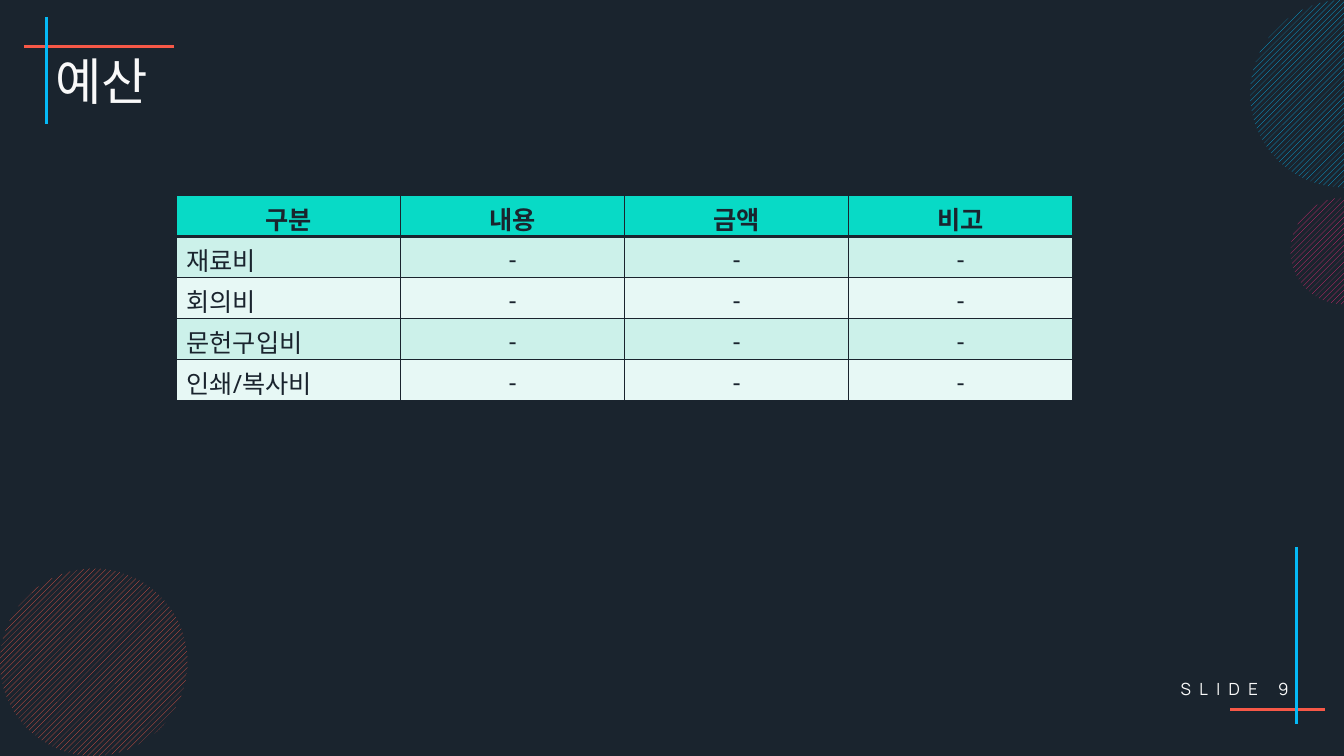
from pptx import Presentation
from pptx.dml.color import RGBColor
from pptx.enum.dml import MSO_PATTERN
from pptx.enum.shapes import MSO_CONNECTOR, MSO_SHAPE
from pptx.enum.text import MSO_ANCHOR, PP_ALIGN
from pptx.oxml.ns import qn
from pptx.util import Inches, Pt
from lxml.etree import SubElement

NAVY = RGBColor(0x1A, 0x24, 0x2E)
CORAL = RGBColor(0xF7, 0x58, 0x47)
BLUE = RGBColor(0x05, 0xB9, 0xF6)
PINK = RGBColor(0xEF, 0x2A, 0x79)
WHITE = RGBColor(0xF9, 0xF9, 0xF9)
TEAL = RGBColor(0x08, 0xDA, 0xC6)
MINT = RGBColor(0xCC, 0xF1, 0xEA)
PALE_MINT = RGBColor(0xE7, 0xF8, 0xF5)
KOREAN_FONT = "Noto Sans CJK KR"

deck = Presentation()
deck.slide_width, deck.slide_height = Inches(13.33), Inches(7.5)
page = deck.slides.add_slide(deck.slide_layouts[6])
page.background.fill.solid()
page.background.fill.fore_color.rgb = NAVY


def write(frame, text, align, color, **font_values):
    para = frame.paragraphs[0]
    para.alignment = align
    span = para.add_run()
    span.text = text
    for name, value in font_values.items():
        setattr(span.font, name, value)
    span.font.color.rgb = color
    SubElement(span.font._element, qn("a:ea"), typeface=KOREAN_FONT)
    return para, span


accent_lines = [
    (1.73, 0.46, 0.24, 0.46, CORAL),
    (0.46, 1.23, 0.46, 0.17, BLUE),
    (12.2, 7.04, 13.14, 7.04, CORAL),
    (12.86, 5.43, 12.86, 7.18, BLUE),
]
for *ends, color in accent_lines:
    line = page.shapes.add_connector(MSO_CONNECTOR.STRAIGHT, *map(Inches, ends))
    line.line.color.rgb = color
    line.line.width = Pt(2)
    SubElement(line._element.spPr, qn("a:effectLst"))

for left, top, size, color in [(0, 5.64, 1.86, CORAL), (12.8, 1.96, 1.06, PINK), (12.4, 0, 1.86, BLUE)]:
    circle = page.shapes.add_shape(MSO_SHAPE.OVAL, *map(Inches, (left, top, size, size)))
    circle.shadow.inherit = False
    circle.line.fill.background()
    circle.fill.patterned()
    circle.fill.pattern = MSO_PATTERN.WIDE_UPWARD_DIAGONAL
    circle.fill.fore_color.rgb = color
    circle.fill.back_color.rgb = NAVY

labels = [
    ("SLIDE 9", (10.8, 6.63, 2.08, 0.41), PP_ALIGN.RIGHT, {"size": Pt(12), "name": "Manrope"}),
    ("예산", (0.45, 0.49, 4.59, 0.7), PP_ALIGN.LEFT, {"size": Pt(36), "name": KOREAN_FONT}),
]
for text, place, align, font_values in labels:
    box = page.shapes.add_textbox(*map(Inches, place))
    box.text_frame.word_wrap = True
    box.text_frame.vertical_anchor = MSO_ANCHOR.MIDDLE
    para, span = write(box.text_frame, text, align, WHITE, **font_values)
    if text == "예산":
        para.line_spacing = 0.9
        para.space_before = Pt(10)
    else:
        span.font._element.set("spc", "600")

headings = ["구분", "내용", "금액", "비고"]
expenses = ["재료비", "회의비", "문헌구입비", "인쇄/복사비"]
rows = [headings] + [[expense] + ["-"] * 3 for expense in expenses]
budget = page.shapes.add_table(
    len(rows), len(headings), Inches(1.75), Inches(1.94), Inches(8.89), Inches(2.03)
).table
for row_number, texts in enumerate(rows):
    budget.rows[row_number].height = Inches(2.03 / len(rows))
    is_heading = row_number == 0
    row_color = TEAL if is_heading else (PALE_MINT, MINT)[row_number % 2]
    for column_number, text in enumerate(texts):
        cell = budget.cell(row_number, column_number)
        is_expense = column_number == 0 and not is_heading
        align = PP_ALIGN.LEFT if is_expense else PP_ALIGN.CENTER
        write(cell.text_frame, text, align, NAVY, size=Pt(18), name="Open Sans", bold=is_heading)
        for side in "LRTB":
            under_heading = (row_number, side) in [(0, "B"), (1, "T")]
            border = SubElement(
                cell._tc.get_or_add_tcPr(), qn("a:ln" + side), w=str(Pt(3 if under_heading else 1))
            )
            SubElement(SubElement(border, qn("a:solidFill")), qn("a:srgbClr"), val=str(NAVY))
        cell.fill.solid()
        cell.fill.fore_color.rgb = row_color

deck.save("out.pptx")
